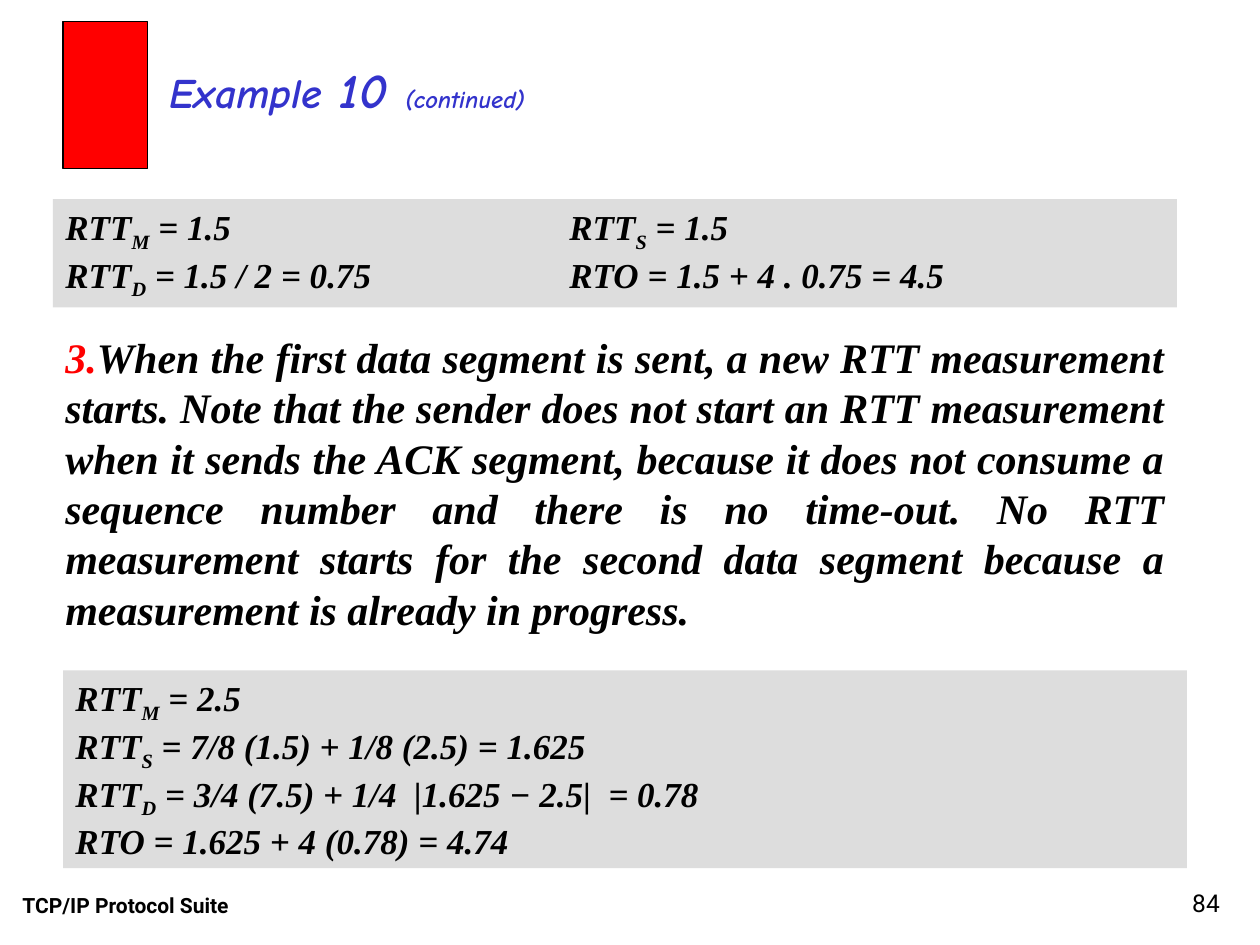
"""Build the "Example 10 (continued)" slide on round-trip time estimation."""
from dataclasses import dataclass

import pptx
import pptx.dml.color
import pptx.enum.shapes
import pptx.enum.text
import pptx.oxml.ns
import pptx.util
from lxml import etree
from pptx.util import Inches

ALIGN = pptx.enum.text.PP_ALIGN
ANCHOR = pptx.enum.text.MSO_ANCHOR


@dataclass(frozen=True)
class Theme:
    """Colours, fonts and type sizes of the slide."""
    ink: str = "000000"
    accent: str = "FF0000"
    heading: str = "3333CC"
    panel: str = "DDDDDD"
    heading_font: str = "Comic Neue"
    body_font: str = "Times New Roman"
    footer_font: str = "Roboto"
    heading_size: int = 24
    number_size: int = 28
    continued_size: int = 14
    formula_size: int = 20
    body_size: int = 24
    footer_size: int = 12
    page_size: int = 14


THEME = Theme()


def colour(code):
    """Return the colour for a hex code."""
    return pptx.dml.color.RGBColor.from_string(code)


def style(run, font, size, ink=THEME.ink, bold=True, italic=True):
    """Format one run."""
    run.font.name = font
    run.font.size = pptx.util.Pt(size)
    run.font.color.rgb = colour(ink)
    run.font.bold = bold
    run.font.italic = italic


def add_run(paragraph, words, *look, **options):
    """Append formatted words to a paragraph."""
    run = paragraph.add_run()
    run.text = words
    style(run, *look, **options)
    return run


def prepare_frame(frame, align=ALIGN.LEFT, anchor=ANCHOR.TOP, grow=True):
    """Set wrapping, anchor and alignment, and return the first paragraph."""
    sizing = pptx.enum.text.MSO_AUTO_SIZE
    frame.word_wrap = True
    frame.auto_size = sizing.SHAPE_TO_FIT_TEXT if grow else sizing.NONE
    frame.vertical_anchor = anchor
    paragraph = frame.paragraphs[0]
    paragraph.alignment = align
    return paragraph


def add_text(slide, left, top, width, height, **layout):
    """Add a text box and return its first paragraph."""
    box = slide.shapes.add_textbox(
        Inches(left), Inches(top), Inches(width), Inches(height))
    return prepare_frame(box.text_frame, **layout)


def add_block(slide, left, top, width, height, fill):
    """Add a plain filled rectangle without an outline."""
    block = slide.shapes.add_shape(
        pptx.enum.shapes.MSO_SHAPE.RECTANGLE,
        Inches(left), Inches(top), Inches(width), Inches(height))
    block.shadow.inherit = False
    block.fill.solid()
    block.fill.fore_color.rgb = colour(fill)
    block.line.fill.background()
    return block


def add_tab_stop(paragraph, position):
    """Give a paragraph one left tab stop."""
    qn = pptx.oxml.ns.qn
    stops = etree.SubElement(paragraph._p.get_or_add_pPr(), qn("a:tabLst"))
    etree.SubElement(stops, qn("a:tab"), pos=str(Inches(position)), algn="l")


def add_formulas(slide, left, top, height, rows):
    """Add a grey panel of formulas whose odd parts are subscripts."""
    panel = add_block(slide, left, top, 8.92, height, THEME.panel)
    paragraph = prepare_frame(panel.text_frame)
    paragraph.space_before = pptx.util.Pt(12.5)
    add_tab_stop(paragraph, 4)
    for row_index, row in enumerate(rows):
        if row_index:
            paragraph.add_line_break()
        for part_index, part in enumerate(row):
            run = add_run(paragraph, part, THEME.body_font, THEME.formula_size)
            if part_index % 2:
                run._r.get_or_add_rPr().set("baseline", "-25000")


def add_heading(slide):
    """Add the red marker and the example heading."""
    marker = add_block(slide, 0.5, 0.17, 0.67, 1.17, THEME.accent)
    marker.line.color.rgb = colour(THEME.ink)
    marker.line.width = pptx.util.Pt(0.75)
    heading = add_text(slide, 1.25, 0.42, 5.58, 0.57)
    for words, size in (("Example", THEME.heading_size),
                        (" 10 ", THEME.number_size),
                        ("(continued)", THEME.continued_size)):
        add_run(heading, words, THEME.heading_font, size, THEME.heading)


def add_explanation(slide):
    """Add the numbered, justified explanation."""
    explanation = add_text(slide, 0.42, 2.58, 8.92, 2.5, align=ALIGN.JUSTIFY)
    explanation.space_before = pptx.util.Pt(15)
    add_run(explanation, "3.", THEME.body_font, THEME.body_size, THEME.accent)
    add_run(
        explanation,
        "When the first data segment is sent, a new RTT measurement starts. "
        "Note that the sender does not start an RTT measurement when it sends "
        "the ACK segment, because it does not consume a sequence number and "
        "there is no time-out. No RTT measurement starts for the second data "
        "segment because a measurement is already in progress.",
        THEME.body_font, THEME.body_size)


def add_footer(slide):
    """Add the book title and the page number."""
    book = add_text(slide, 0.08, 6.83, 3.17, 0.5,
                    anchor=ANCHOR.BOTTOM, grow=False)
    add_run(book, "TCP/IP Protocol Suite", THEME.footer_font,
            THEME.footer_size, italic=False)
    page = add_text(slide, 7.7, 6.83, 2.08, 0.5, align=ALIGN.RIGHT,
                    anchor=ANCHOR.BOTTOM, grow=False)
    add_run(page, "84", THEME.footer_font, THEME.page_size,
            bold=False, italic=False)


def main():
    """Build and save the slide."""
    deck = pptx.Presentation()
    deck.slide_width, deck.slide_height = Inches(10), Inches(7.5)
    slide = deck.slides.add_slide(deck.slide_layouts[6])
    add_footer(slide)
    add_heading(slide)
    add_formulas(slide, 0.42, 1.58, 0.86, (
        ("RTT", "M", " = 1.5\tRTT", "S", " = 1.5"),
        ("RTT", "D", " = 1.5 / 2 = 0.75\tRTO = 1.5 + 4 . 0.75 = 4.5"),
    ))
    add_explanation(slide)
    add_formulas(slide, 0.5, 5.32, 1.57, (
        ("RTT", "M", " = 2.5"),
        ("RTT", "S", " = 7/8 (1.5) + 1/8 (2.5) = 1.625"),
        ("RTT", "D", " = 3/4 (7.5) + 1/4  |1.625 − 2.5|  = 0.78"),
        ("RTO = 1.625 + 4 (0.78) = 4.74",),
    ))
    deck.save("out.pptx")


if __name__ == "__main__":
    main()
